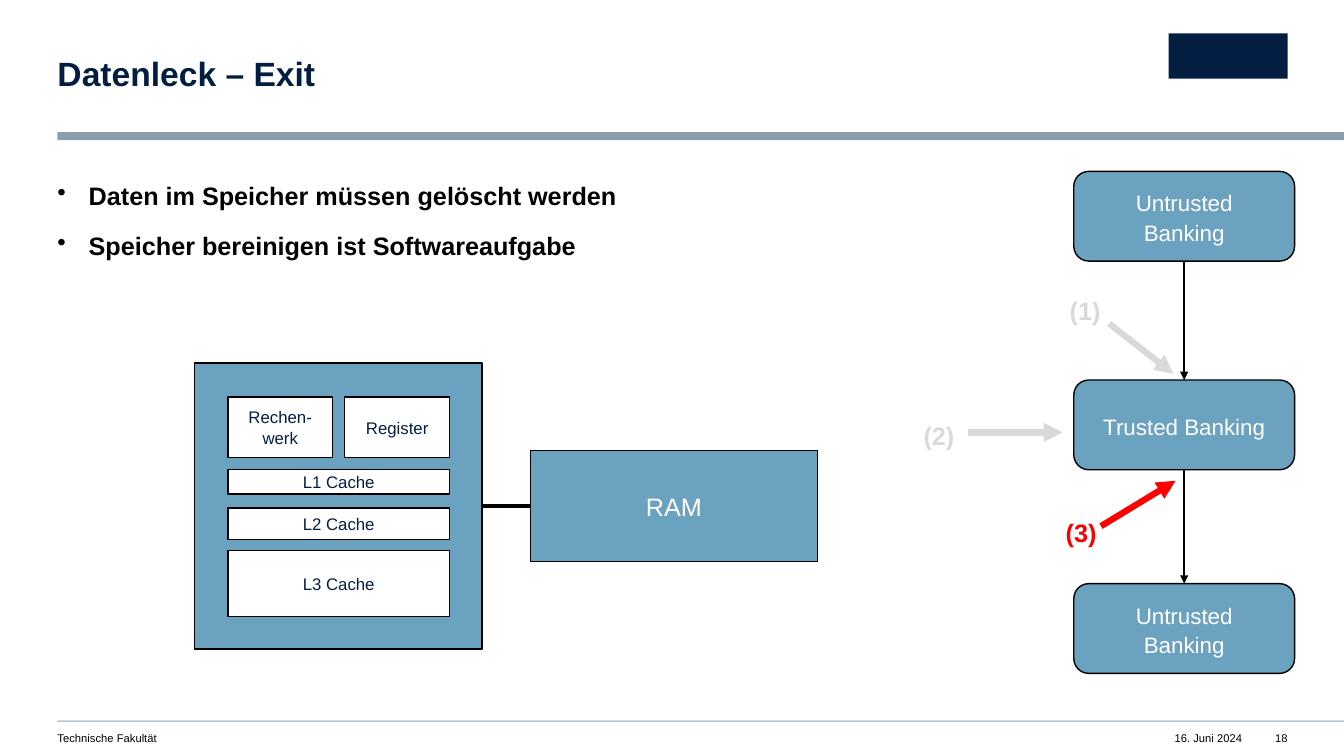
from dataclasses import dataclass

from pptx import Presentation
from pptx.dml.color import RGBColor
from pptx.enum.shapes import MSO_CONNECTOR, MSO_SHAPE
from pptx.enum.text import MSO_ANCHOR, MSO_AUTO_SIZE, PP_ALIGN
from pptx.oxml.ns import qn
from pptx.util import Emu, Pt

NAVY, BLUE, GREY_BLUE = "041E42", "6BA2C0", "8C9FB1"
BLACK, WHITE, PALE, RED = "000000", "FFFFFF", "D9D9D9", "FF0000"
TOP, LEFT, BOTTOM, RIGHT = range(4)


def px(length: int) -> Emu:
    """100 px to the inch."""
    return Emu(length * 9144)


def color(value: str) -> RGBColor:
    return RGBColor.from_string(value)


@dataclass
class Area:
    left: int
    top: int
    width: int
    height: int

    def emu(self) -> list[Emu]:
        return [px(n) for n in (self.left, self.top, self.width, self.height)]


@dataclass
class Style:
    size: int
    color: str
    bold: bool = False
    align: PP_ALIGN = PP_ALIGN.LEFT
    spacing: float = 1.0
    after: int = 0


@dataclass
class Box:
    area: Area
    text: str
    fill: str
    style: Style


@dataclass
class Step:
    label: str
    area: Area
    start: tuple[int, int]
    end: tuple[int, int]
    color: str


def write(frame, lines: list[str], style: Style) -> None:
    frame.text = "\n".join(lines)
    for para in frame.paragraphs:
        para.alignment = style.align
        para.line_spacing = style.spacing
        para.space_after = Pt(style.after)
        for span in para.runs:
            span.font.name = "Arial"
            span.font.size = Pt(style.size)
            span.font.bold = style.bold
            span.font.color.rgb = color(style.color)


def set_margins(frame, margin: int) -> None:
    frame.margin_left = frame.margin_right = px(margin)
    frame.margin_top = frame.margin_bottom = px(margin)


def add_text(shapes, area: Area, lines: list[str], style: Style):
    box = shapes.add_textbox(*area.emu())
    set_margins(box.text_frame, 0)
    box.text_frame.word_wrap = True
    write(box.text_frame, lines, style)
    return box


def add_block(shapes, area: Area, fill: str, outline: str = "",
              kind: MSO_SHAPE = MSO_SHAPE.RECTANGLE):
    shape = shapes.add_shape(kind, *area.emu())
    shape.shadow.inherit = False
    shape.fill.solid()
    shape.fill.fore_color.rgb = color(fill)
    if outline:
        shape.line.color.rgb = color(outline)
        shape.line.width = Pt(1)
    else:
        shape.line.fill.background()
    return shape


def add_box(shapes, box: Box, kind: MSO_SHAPE = MSO_SHAPE.RECTANGLE):
    shape = add_block(shapes, box.area, box.fill, BLACK, kind)
    shape.text_frame.word_wrap = True
    shape.text_frame.vertical_anchor = MSO_ANCHOR.MIDDLE
    write(shape.text_frame, [box.text], box.style)
    return shape


def add_line(shapes, start: tuple[int, int], end: tuple[int, int],
             stroke: str, width: float, arrow: bool = True):
    line = shapes.add_connector(
        MSO_CONNECTOR.STRAIGHT, *[px(n) for n in start + end])
    line.line.color.rgb = color(stroke)
    line.line.width = Pt(width)
    properties = line._element.spPr
    if arrow:
        outline = properties.find(qn("a:ln"))
        outline.append(outline.makeelement(qn("a:tailEnd"), {"type": "triangle"}))
    properties.append(properties.makeelement(qn("a:effectLst"), {}))
    return line


def join(line, first, first_side: int, second, second_side: int) -> None:
    line.begin_connect(first, first_side)
    line.end_connect(second, second_side)


def add_bullets(box) -> None:
    for para in box.text_frame.paragraphs:
        properties = para._p.get_or_add_pPr()
        properties.set("marL", str(px(31)))
        properties.set("indent", str(px(-31)))
        properties.append(properties.makeelement(qn("a:buChar"), {"char": "•"}))


def add_frame(page) -> None:
    # Rules and a plain block in the corner
    for area, fill in ((Area(57, 131, 1276, 8), GREY_BLUE),
                       (Area(57, 715, 1276, 1), GREY_BLUE),
                       (Area(1159, 33, 118, 45), NAVY)):
        add_block(page.shapes, area, fill)

    # Footer
    for area, text, align in (
            (Area(1139, 726, 93, 13), "16. Juni 2024", PP_ALIGN.RIGHT),
            (Area(57, 726, 598, 13), "Technische Fakultät", PP_ALIGN.LEFT),
            (Area(1256, 726, 21, 13), "18", PP_ALIGN.RIGHT)):
        add_text(page.shapes, area, [text], Style(8, BLACK, align=align))

    # Title
    title = page.shapes.title
    title.left, title.top, title.width, title.height = Area(57, 57, 749, 36).emu()
    frame = title.text_frame
    set_margins(frame, 0)
    frame.auto_size = MSO_AUTO_SIZE.NONE
    frame.vertical_anchor = MSO_ANCHOR.TOP
    write(frame, ["Datenleck – Exit"], Style(24, NAVY, bold=True, spacing=0.9))


def add_flow(page) -> None:
    # Banking states from top to bottom
    style = Style(16, WHITE, align=PP_ALIGN.CENTER, spacing=1.1, after=12)
    states = []
    for top, text in ((170, "Untrusted Banking"), (377, "Trusted Banking"),
                      (579, "Untrusted Banking")):
        box = Box(Area(1065, top, 219, 89), text, BLUE, style)
        state = add_box(page.shapes, box, MSO_SHAPE.ROUNDED_RECTANGLE)
        set_margins(state.text_frame, 20)
        states.append(state)
    for upper, lower in zip(states, states[1:]):
        line = add_line(page.shapes, (1174, 259), (1174, 377), BLACK, 1)
        join(line, upper, BOTTOM, lower, TOP)

    # Numbered steps
    for step in (
            Step("(1)", Area(1061, 290, 44, 31), (1100, 321), (1164, 371), PALE),
            Step("(2)", Area(916, 414, 44, 31), (960, 429), (1054, 429), PALE),
            Step("(3)", Area(1057, 510, 44, 31), (1092, 522), (1166, 477), RED)):
        add_line(page.shapes, step.start, step.end, step.color, 4.5)
        add_text(page.shapes, step.area, [step.label],
                 Style(18, step.color, bold=True, spacing=1.1, after=12))


def add_hardware(page) -> None:
    # Processor with its parts, joined to the memory
    shapes = page.shapes.add_group_shape().shapes
    processor = add_block(shapes, Area(193, 360, 285, 284), BLUE, BLACK)
    small = Style(12, NAVY, align=PP_ALIGN.CENTER)
    for area, text in ((Area(226, 394, 104, 60), "Rechen- werk"),
                       (Area(342, 394, 104, 60), "Register"),
                       (Area(226, 466, 220, 24), "L1 Cache"),
                       (Area(226, 504, 220, 31), "L2 Cache"),
                       (Area(226, 546, 220, 66), "L3 Cache")):
        add_box(shapes, Box(area, text, WHITE, small))
    memory = add_box(shapes, Box(Area(526, 447, 285, 110), "RAM", BLUE,
                                 Style(18, WHITE, align=PP_ALIGN.CENTER)))
    bus = add_line(shapes, (478, 502), (526, 502), BLACK, 2.25, arrow=False)
    join(bus, processor, RIGHT, memory, LEFT)


def main() -> None:
    deck = Presentation()
    deck.slide_width, deck.slide_height = px(1333), px(750)
    page = deck.slides.add_slide(deck.slide_layouts[5])
    add_frame(page)
    points = add_text(page.shapes, Area(57, 176, 1220, 500),
                      ["Daten im Speicher müssen gelöscht werden",
                       "Speicher bereinigen ist Softwareaufgabe"],
                      Style(18, BLACK, bold=True, spacing=1.1, after=12))
    add_bullets(points)
    add_flow(page)
    add_hardware(page)
    deck.save("out.pptx")


if __name__ == "__main__":
    main()
